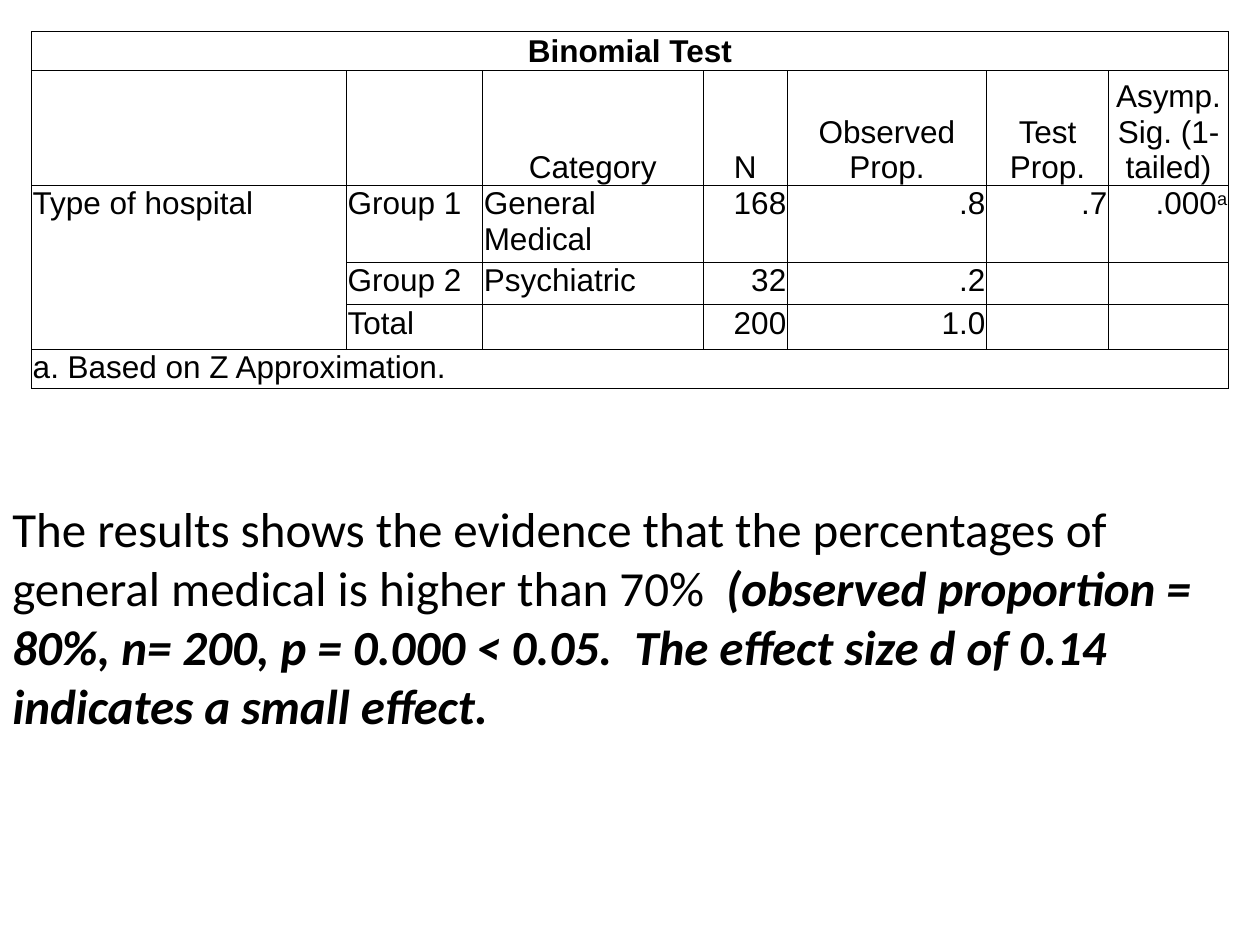
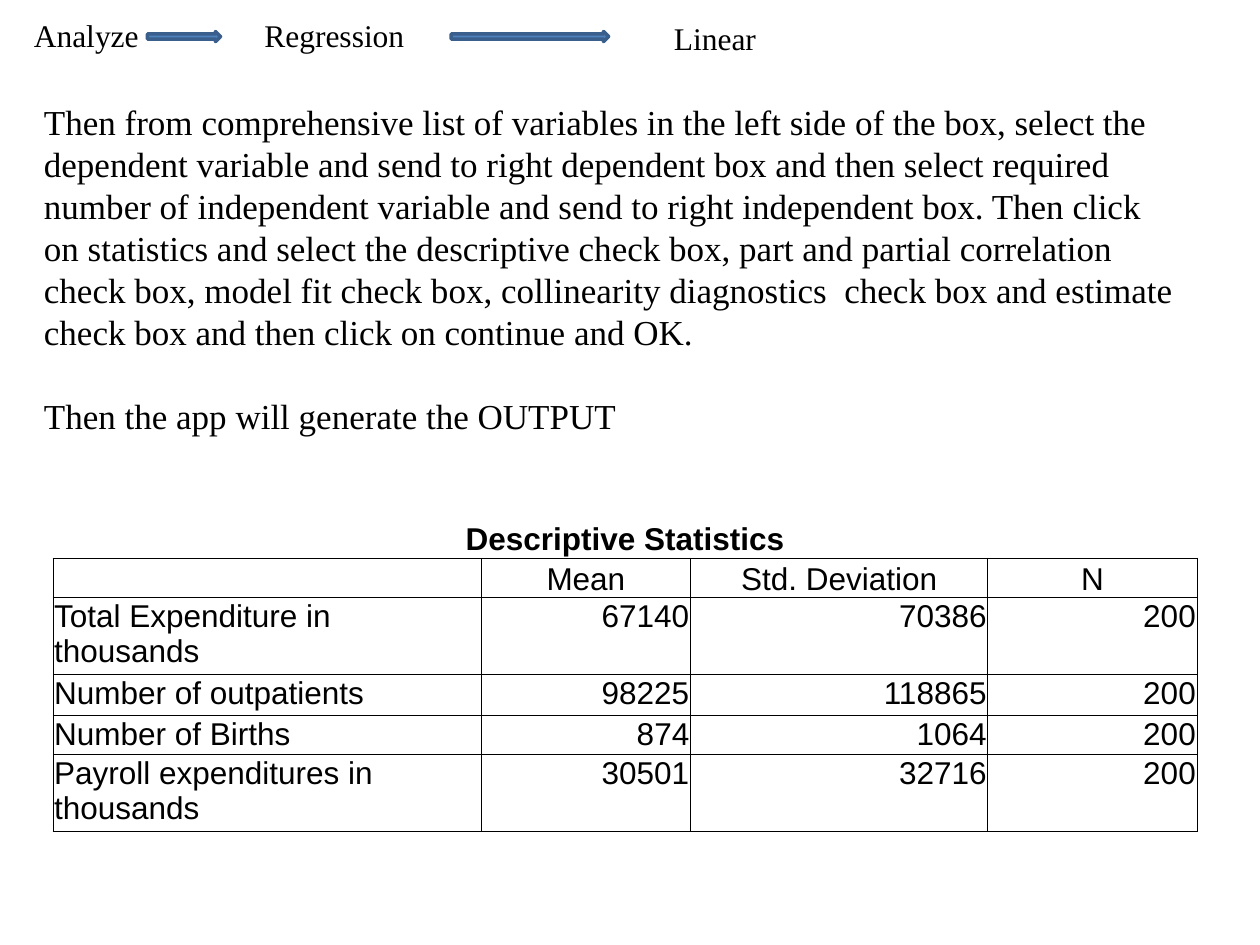
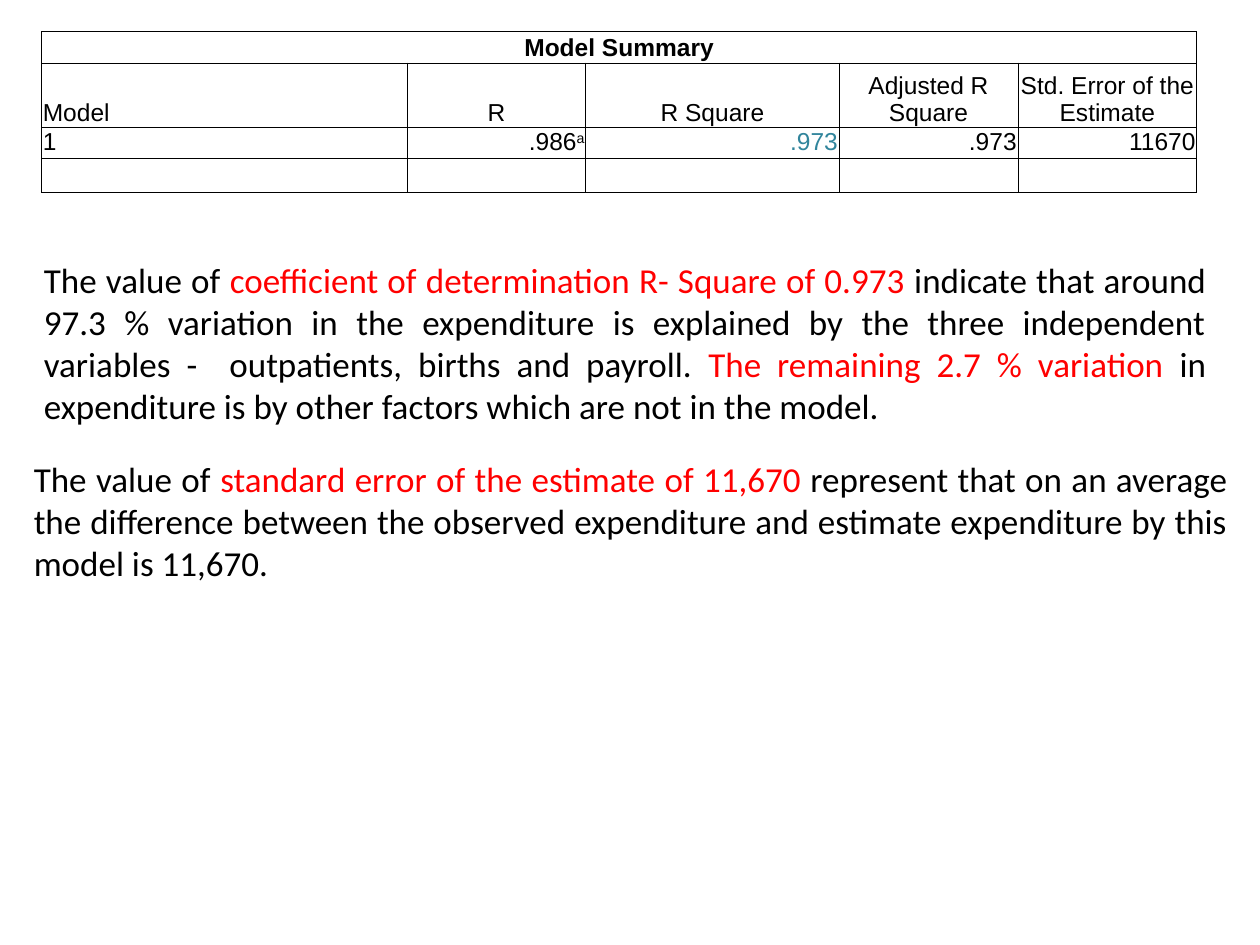
"""Build three slides on a binomial test and a linear regression."""
import lxml.etree
import pptx
import pptx.dml.color
import pptx.enum.shapes
import pptx.enum.text
import pptx.oxml.ns
import pptx.util

INK, RED, TEAL = "000000", "FF0000", "31859C"
BLUE, NAVY = "4F81BD", "3A5F8C"
SANS, BODY, SERIF = "Arial", "Calibri", "Times New Roman"
ALIGN = {
    "l": pptx.enum.text.PP_ALIGN.LEFT,
    "c": pptx.enum.text.PP_ALIGN.CENTER,
    "r": pptx.enum.text.PP_ALIGN.RIGHT,
    "j": pptx.enum.text.PP_ALIGN.JUSTIFY,
}
ANCHOR = pptx.enum.text.MSO_ANCHOR
STRONG = {"bold": True, "italic": True}
SUPER = ("a", {"sup": True})

TABLES = {
    "binomial": {
        "at": (0.25, 0.25), "size": 18,
        "cols": (2.5, 1.08, 1.75, 0.67, 1.58, 0.97, 0.95),
        "rows": (0.31, 0.91, 0.61, 0.34, 0.35, 0.31),
        "head": "ccccccc", "body": "lllrrrr",
        "spans": [(0, 0, 0, 6), (2, 0, 4, 0), (5, 0, 5, 6)],
        "cells": [
            ["Binomial Test"],
            ["", "", "Category", "N", "Observed Prop.", "Test Prop.",
             "Asymp. Sig. (1-tailed)"],
            ["Type of hospital", "Group 1", "General Medical", "168", ".8", ".7",
             [".000", SUPER]],
            ["", "Group 2", "Psychiatric", "32", ".2"],
            ["", "Total", "", "200", "1.0"],
            ["a. Based on Z Approximation."],
        ],
    },
    "stats": {
        "at": (0.42, 4.12), "size": 18, "open": True,
        "cols": (3.4, 1.66, 2.36, 1.66),
        "rows": (0.31, 0.31, 0.61, 0.33, 0.31, 0.61),
        "head": "cccc", "body": "lrrr",
        "spans": [(0, 0, 0, 3)],
        "cells": [
            ["Descriptive Statistics"],
            ["", "Mean", "Std. Deviation", "N"],
            ["Total Expenditure in thousands", "67140", "70386", "200"],
            ["Number of outpatients", "98225", "118865", "200"],
            ["Number of Births", "874", "1064", "200"],
            ["Payroll expenditures in thousands", "30501", "32716", "200"],
        ],
    },
    "model": {
        "at": (0.33, 0.25), "size": 14,
        "cols": (2.9, 1.42, 2.01, 1.42, 1.42),
        "rows": (0.25, 0.51, 0.25, 0.27),
        "head": "lcccc", "body": "lrrrr",
        "spans": [(0, 0, 0, 4)],
        "cells": [
            ["Model Summary"],
            ["Model", "R", "R Square", "Adjusted R Square",
             "Std. Error of the Estimate"],
            ["1", [".986", SUPER], [(".973", {"color": TEAL})], ".973", "11670"],
            [],
        ],
    },
}

RESULT = [[
    "The results shows the evidence that the percentages of general medical "
    "is higher than 70%  ",
    ("(observed proportion = 80%, n= 200, p = 0.000 < 0.05.  The effect size d "
     "of 0.14 indicates a small effect.", STRONG),
]]
MENU = [
    ("Analyze", (0.17, 0.08, 1.75, 0.4)),
    ("Regression", (2, 0.08, 3.08, 0.4)),
    ("Linear", (5.25, 0.1, 2.42, 0.4)),
]
ARROWS = [(1.17, 0.58), (3.58, 1.25)]
STEPS = [
    ["Then from comprehensive list of variables in the left side of the box, "
     "select the dependent variable and send to right dependent box and then "
     "select required number of independent variable and send to right "
     "independent box. Then click on statistics and select the descriptive "
     "check box, part and partial correlation check box, model fit check box, "
     "collinearity diagnostics  check box and estimate check box and then click "
     "on continue and OK."],
    ["Then the app will generate the OUTPUT"],
]
FIT = [[
    "The value of ",
    ("coefficient of determination R- Square of 0.973 ", {"color": RED}),
    "indicate that around 97.3 % variation in the expenditure is explained by "
    "the three independent variables -  outpatients, births and payroll. ",
    ("The remaining 2.7 % variation ", {"color": RED}),
    "in expenditure is by other factors which are not in the model.",
]]
ERROR = [[
    "The value of ",
    ("standard error of the estimate of 11,670 ", {"color": RED}),
    "represent that on an average the difference between the observed "
    "expenditure and estimate expenditure by this model is 11,670.",
]]


def rgb(code):
    return pptx.dml.color.RGBColor.from_string(code)


def inches(*sizes):
    return [pptx.util.Inches(size) for size in sizes]


def add_runs(para, parts, face, size, bold=False):
    for part in parts:
        text, style = (part, {}) if isinstance(part, str) else part
        run = para.add_run()
        run.text = text
        run.font.name = face
        run.font.size = pptx.util.Pt(size)
        run.font.bold = style.get("bold", bold)
        run.font.italic = style.get("italic", False)
        run.font.color.rgb = rgb(style.get("color", INK))
        if style.get("sup"):
            run.font._element.set("baseline", "30000")


def add_text(slide, box, paras, face, size, align="l", gap=0):
    frame = slide.shapes.add_textbox(*inches(*box)).text_frame
    frame.word_wrap = True
    for i, parts in enumerate(paras):
        para = frame.add_paragraph() if i else frame.paragraphs[0]
        para.alignment = ALIGN[align]
        if i:
            para.space_before = pptx.util.Pt(gap)
        add_runs(para, parts, face, size)


def add_arrow(slide, left, width):
    kind = pptx.enum.shapes.MSO_SHAPE.RIGHT_ARROW
    shape = slide.shapes.add_shape(kind, *inches(left, 0.25, width, 0.08))
    shape.shadow.inherit = False
    shape.fill.solid()
    shape.fill.fore_color.rgb = rgb(BLUE)
    shape.line.color.rgb = rgb(NAVY)
    shape.line.width = pptx.util.Pt(2)


def rule_cell(cell, sides):
    props = cell._tc.get_or_add_tcPr()
    qn = pptx.oxml.ns.qn
    for i, side in enumerate("LRTB"):
        line = lxml.etree.Element(qn(f"a:ln{side}"), w="6350")
        props.insert(i, line)
        if side in sides:
            fill = lxml.etree.SubElement(line, qn("a:solidFill"))
            lxml.etree.SubElement(fill, qn("a:srgbClr"), val=INK)
        else:
            lxml.etree.SubElement(line, qn("a:noFill"))


def fill_cell(cell, parts, align, anchor, size, bold):
    cell.margin_left = cell.margin_right = cell.margin_top = pptx.util.Inches(0.01)
    cell.margin_bottom = 0
    cell.vertical_anchor = anchor
    cell.fill.background()
    para = cell.text_frame.paragraphs[0]
    para.alignment = ALIGN[align]
    if parts:
        add_runs(para, [parts] if isinstance(parts, str) else parts,
                 SANS, size, bold)
    else:
        tag = pptx.oxml.ns.qn("a:endParaRPr")
        lxml.etree.SubElement(para._p, tag, sz=str(size * 100))


def add_grid(slide, data):
    cols, rows = data["cols"], data["rows"]
    box = inches(*data["at"], sum(cols), sum(rows))
    table = slide.shapes.add_table(len(rows), len(cols), *box).table
    table.first_row = table.horz_banding = False
    for col, width in zip(table.columns, inches(*cols)):
        col.width = width
    for row, height in zip(table.rows, inches(*rows)):
        row.height = height
    for top, left, low, right in data["spans"]:
        table.cell(top, left).merge(table.cell(low, right))
    looks = [("c" * len(cols), ANCHOR.MIDDLE), (data["head"], ANCHOR.BOTTOM)]
    for r, texts in enumerate(data["cells"]):
        aligns, anchor = looks[r] if r < 2 else (data["body"], ANCHOR.TOP)
        for c, align in enumerate(aligns):
            cell = table.cell(r, c)
            parts = texts[c] if c < len(texts) else ""
            fill_cell(cell, parts, align, anchor, data["size"], r == 0)
            rule_cell(cell, "B" if r == 0 and data.get("open") else "LRTB")


def main():
    deck = pptx.Presentation()
    deck.slide_width, deck.slide_height = inches(10, 7.5)
    test, steps, model = [
        deck.slides.add_slide(deck.slide_layouts[6]) for _ in range(3)]

    add_grid(test, TABLES["binomial"])
    add_text(test, (0, 3.91, 10, 1.99), RESULT, BODY, 28)

    for word, box in MENU:
        add_text(steps, box, [[word]], SERIF, 18)
    for left, width in ARROWS:
        add_arrow(steps, left, width)
    add_text(steps, (0.25, 0.75, 9.25, 2.79), STEPS, SERIF, 20, gap=24)
    add_grid(steps, TABLES["stats"])

    add_grid(model, TABLES["model"])
    add_text(model, (0.25, 2, 9.42, 1.45), FIT, BODY, 20, "j")
    add_text(model, (0.17, 3.58, 9.67, 1.11), ERROR, BODY, 20, "j")

    deck.save("out.pptx")


if __name__ == "__main__":
    main()
